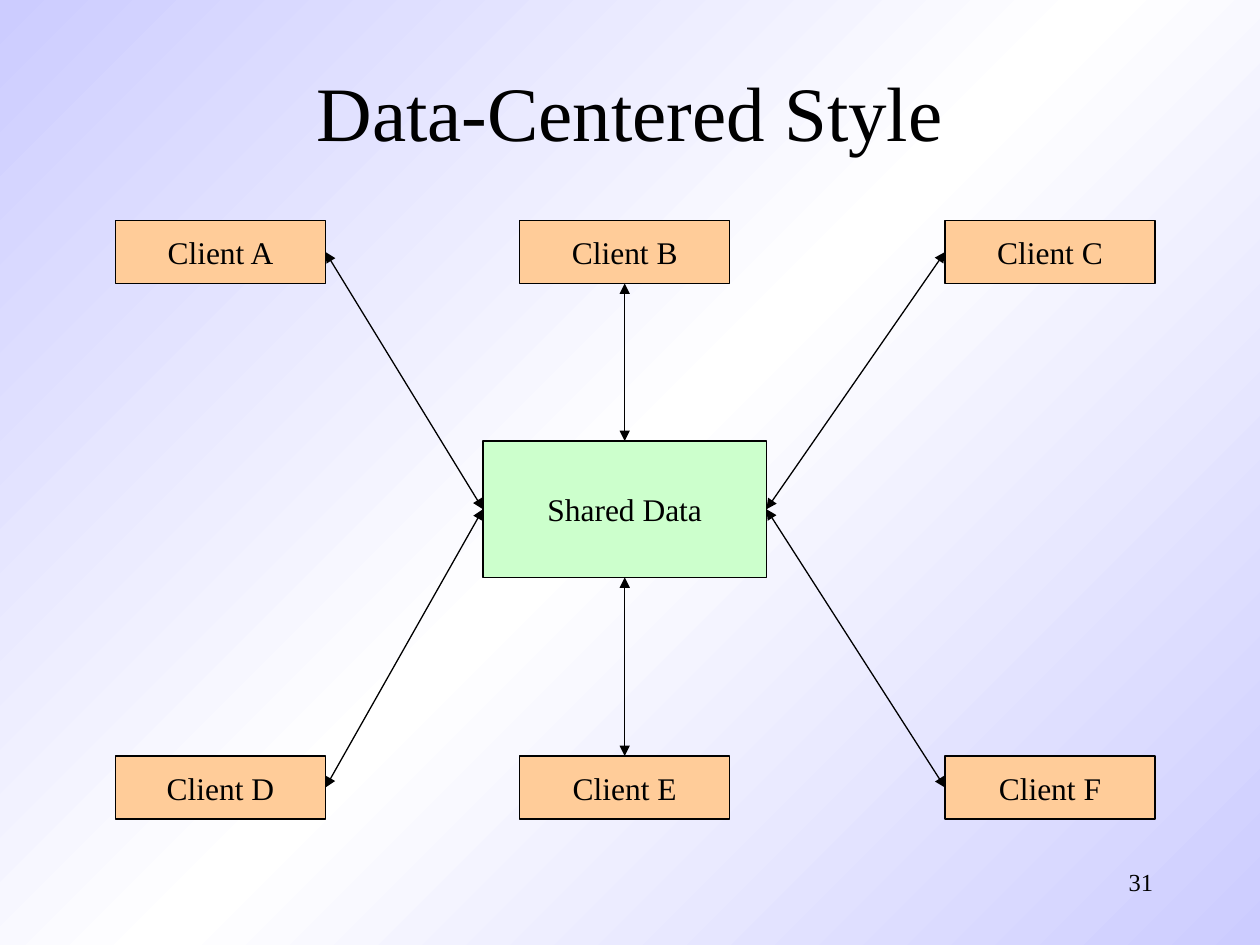
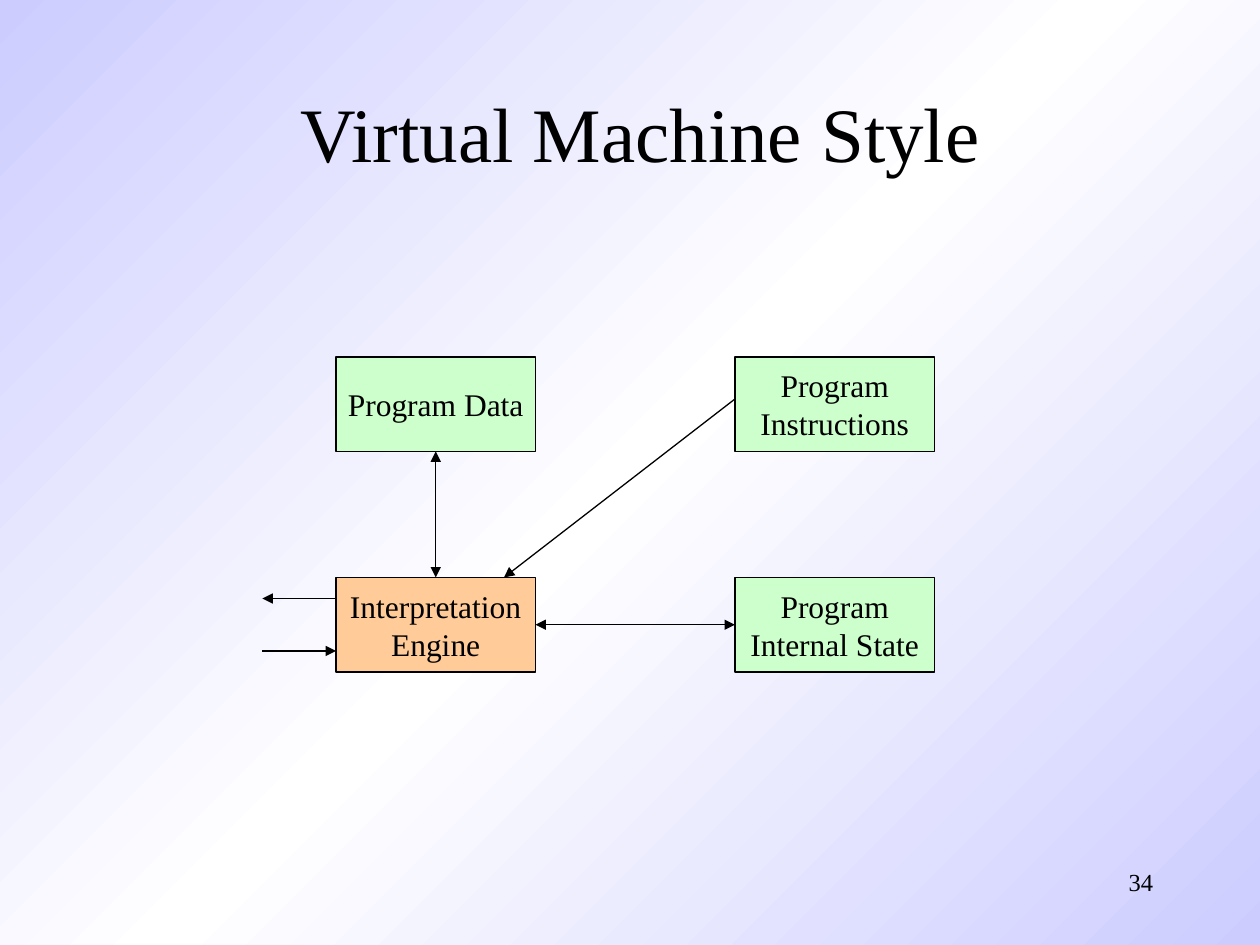
from copy import deepcopy
from dataclasses import dataclass

from pptx import Presentation
from pptx.dml.color import RGBColor
from pptx.enum.shapes import MSO_CONNECTOR, MSO_SHAPE
from pptx.enum.text import MSO_ANCHOR as Anchor, MSO_AUTO_SIZE as AutoSize, PP_ALIGN as Align
from pptx.oxml.ns import qn
from pptx.oxml.xmlchemy import OxmlElement
from pptx.util import Pt


@dataclass(frozen=True)
class Theme:
    font: str = "Times New Roman"
    ink: RGBColor = RGBColor.from_string("000000")
    green: RGBColor = RGBColor.from_string("CCFFCC")
    orange: RGBColor = RGBColor.from_string("FFCC99")
    background: tuple = ((0, "CCCCFF"), (50, "FFFFFF"), (100, "CCCCFF"))
    title_size: int = 44
    label_size: int = 18
    number_size: int = 14
    line_width: float = 0.75


theme = Theme()
TOP, LEFT, BOTTOM, RIGHT = range(4)  # connection sites of a rectangle


def write_text(shape, text, size, alignment):
    """Fill the shape with one paragraph per line of text."""
    frame = shape.text_frame
    for index, line in enumerate(text.split("\n")):
        paragraph = frame.add_paragraph() if index else frame.paragraphs[0]
        paragraph.alignment = alignment
        run = paragraph.add_run()
        run.text = line
        run.font.name = theme.font
        run.font.size = Pt(size)
        run.font.color.rgb = theme.ink


def add_arrow(slide, start, end, heads=("headEnd", "tailEnd")):
    connector = slide.shapes.add_connector(
        MSO_CONNECTOR.STRAIGHT, *(Pt(value) for value in (*start, *end)))
    connector.line.color.rgb = theme.ink
    connector.line.width = Pt(theme.line_width)
    for head in heads:
        arrowhead = OxmlElement(f"a:{head}")
        arrowhead.set("type", "triangle")
        connector.line._get_or_add_ln().append(arrowhead)
    connector._element.spPr.append(OxmlElement("a:effectLst"))
    return connector


presentation = Presentation()
presentation.slide_width, presentation.slide_height = Pt(720), Pt(540)

# Diagonal background shared through the master
master = presentation.slide_master
background = master.background.fill
background.gradient()
background.gradient_angle = 315
stop_list = next(master.element.iter(qn("a:gsLst")))
stop_list.append(deepcopy(stop_list[0]))
for stop, (position, color) in zip(background.gradient_stops, theme.background):
    stop.position = position / 100
    stop.color.rgb = RGBColor.from_string(color)

# Titles and page numbers
slides = []
for title_text, title_left, title_top, number in (
    ("Data-Centered Style", 54, 18, "31"),
    ("Virtual Machine Style", 60, 30, "34"),
):
    slide = presentation.slides.add_slide(presentation.slide_layouts[5])
    slides.append(slide)
    title = slide.shapes.title
    title.left, title.top = Pt(title_left), Pt(title_top)
    title.width, title.height = Pt(612), Pt(90)
    title.text_frame.vertical_anchor = Anchor.MIDDLE
    title.text_frame.auto_size = AutoSize.NONE
    write_text(title, title_text, theme.title_size, Align.CENTER)
    number_box = slide.shapes.add_textbox(Pt(516), Pt(492), Pt(150), Pt(36))
    number_box.text_frame.word_wrap = True
    write_text(number_box, number, theme.number_size, Align.RIGHT)
data_slide, machine_slide = slides

# Boxes of both diagrams: slide, label, fill, left, top, width, height
box_specs = [(data_slide, "Shared Data", theme.green, 276, 252, 162, 78)]
for row_top, letters in ((126, "ABC"), (432, "DEF")):
    for client_left, letter in zip((66, 297, 540), letters):
        box_specs.append(
            (data_slide, f"Client {letter}", theme.orange, client_left, row_top, 120, 36))
for label, fill, column, row in (
    ("Interpretation\nEngine", theme.orange, 0, 1),
    ("Program Data", theme.green, 0, 0),
    ("Program\nInstructions", theme.green, 1, 0),
    ("Program\nInternal State", theme.green, 1, 1),
):
    box_specs.append(
        (machine_slide, label, fill, 192 + 228 * column, 204 + 126 * row, 114, 54))

boxes = {}
for slide, label, fill, *frame in box_specs:
    box = slide.shapes.add_shape(MSO_SHAPE.RECTANGLE, *(Pt(value) for value in frame))
    box.shadow.inherit = False
    box.fill.solid()
    box.fill.fore_color.rgb = fill
    box.line.color.rgb = theme.ink
    box.line.width = Pt(theme.line_width)
    box.text_frame.word_wrap = False
    box.text_frame.vertical_anchor = Anchor.MIDDLE
    write_text(box, label, theme.label_size, Align.CENTER)
    boxes[label] = box

# Two-way arrows attached to the boxes
for slide, start_label, start_site, end_label, end_site in (
    (data_slide, "Client D", RIGHT, "Shared Data", LEFT),
    (data_slide, "Client A", RIGHT, "Shared Data", LEFT),
    (data_slide, "Client B", BOTTOM, "Shared Data", TOP),
    (data_slide, "Client C", LEFT, "Shared Data", RIGHT),
    (data_slide, "Client F", LEFT, "Shared Data", RIGHT),
    (data_slide, "Client E", TOP, "Shared Data", BOTTOM),
    (machine_slide, "Program Data", BOTTOM, "Interpretation\nEngine", TOP),
    (machine_slide, "Program\nInternal State", LEFT, "Interpretation\nEngine", RIGHT),
):
    connector = add_arrow(slide, (0, 0), (0, 0))
    connector.begin_connect(boxes[start_label], start_site)
    connector.end_connect(boxes[end_label], end_site)

# One-way arrows: engine output, engine input, instructions
for start, end, head in (
    ((150, 342), (192, 342), "headEnd"),
    ((150, 372), (192, 372), "tailEnd"),
    ((420, 228), (288, 330), "tailEnd"),
):
    add_arrow(machine_slide, start, end, (head,))

presentation.save("out.pptx")
